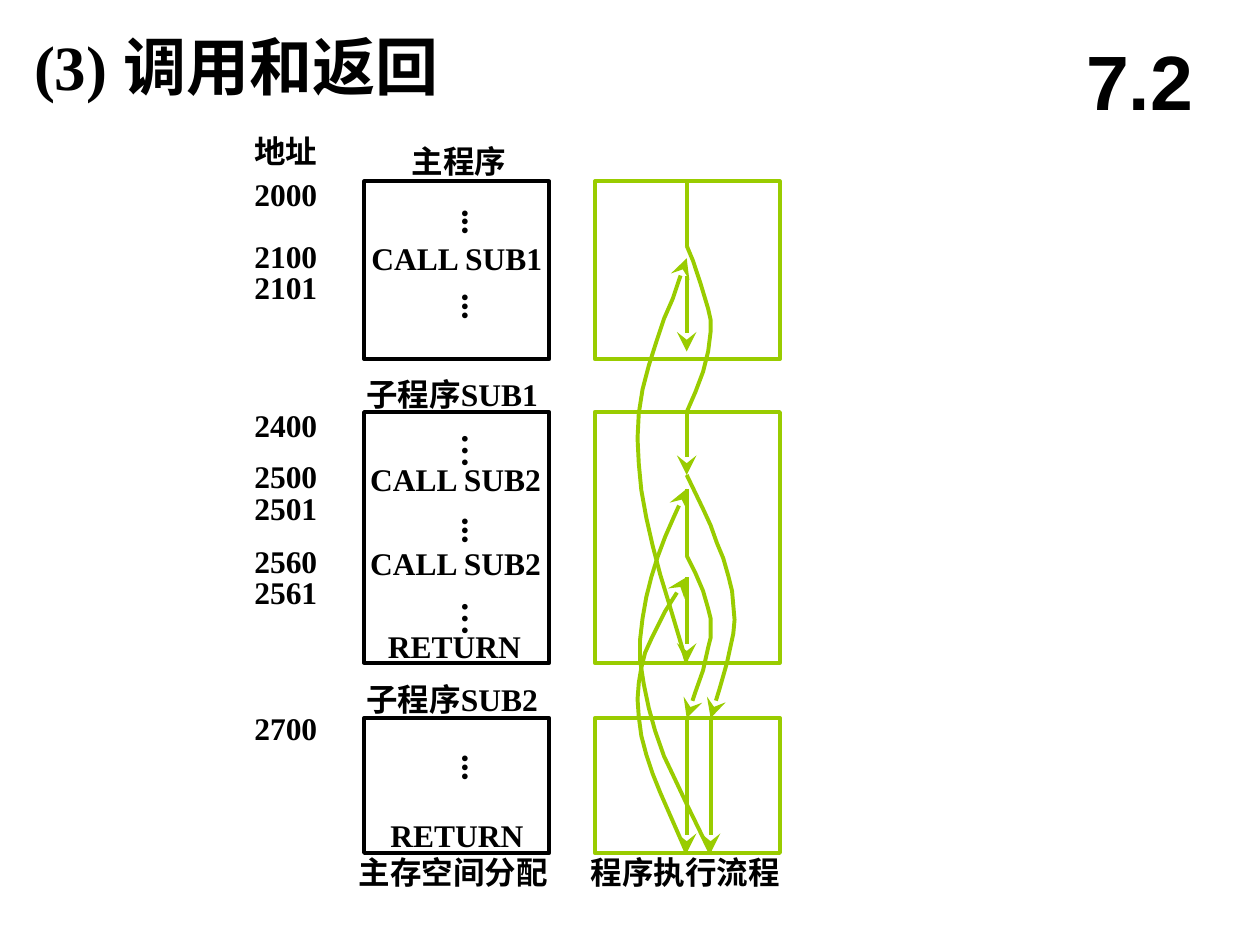
from lxml.etree import SubElement
from pptx import Presentation
from pptx.dml.color import RGBColor
from pptx.enum.shapes import MSO_CONNECTOR, MSO_SHAPE
from pptx.enum.text import MSO_ANCHOR, MSO_AUTO_SIZE, PP_ALIGN
from pptx.oxml.ns import qn
from pptx.util import Inches, Pt

BLACK, GREEN = "000000", "99CC00"
SERIF, SANS = "Times New Roman", "Arial"

# Columns: addresses, memory boxes, flow boxes, and the two flow tracks
ADDRESS_X, MEMORY_X, FLOW_X = 1.92, 2.89, 4.72
BOX_WIDTH, LABEL_HEIGHT = 1.47, 0.4
DOTS_X, DOTS_WIDTH = 3.47, 0.53
TRACK, SIDE_TRACK = 5.45, 5.64

# Rows: top and height of the main program, SUB1 and SUB2
BLOCKS = [(1.44, 1.41), (3.27, 1.99), (5.7, 1.07)]
MAIN_TOP, SUB1_TOP, SUB2_TOP = (top for top, _ in BLOCKS)
SUB1_END, SUB2_END = (top + height for top, height in BLOCKS[1:])

ADDRESSES = [
    ("地址", 1.0), ("2000", 1.34), ("2100", 1.83), ("2101", 2.08),
    ("2400", 3.17), ("2500", 3.58), ("2501", 3.83), ("2560", 4.25),
    ("2561", 4.5), ("2700", 5.58),
]
# Text, left, top, width
LABELS = [
    ("主程序", 3.17, 1.08, 0.95),
    ("CALL SUB1", 2.85, 1.85, 1.57),
    ("子程序SUB1", 2.81, 2.93, 1.62),
    ("CALL SUB2", 2.84, 3.6, 1.57),
    ("CALL SUB2", 2.84, 4.27, 1.57),
    ("RETURN", 2.98, 4.93, 1.25),
    ("子程序SUB2", 2.81, 5.35, 1.62),
    ("RETURN", 3.0, 6.43, 1.25),
    ("主存空间分配", 2.75, 6.72, 1.7),
    ("程序执行流程", 4.59, 6.72, 1.7),
]
# Text, top, height
DOTS = [
    ("...", 1.56, 0.31), ("...", 2.23, 0.31), ("…", 3.34, 0.38),
    ("...", 4.01, 0.31), ("…", 4.67, 0.38), ("...", 5.89, 0.31),
]
# Track, start, end, arrowhead
STEPS = [
    (TRACK, MAIN_TOP, 1.95, False),
    (TRACK, 2.19, 2.79, True),
    (TRACK, SUB1_TOP, 3.77, True),
    (TRACK, 3.88, 4.41, False),
    (TRACK, 4.58, SUB1_END, True),
    (TRACK, SUB2_TOP, SUB2_END, True),
    (SIDE_TRACK, SUB2_TOP, SUB2_END, True),
]
CALL_SUB1 = [
    (TRACK, 1.95), (5.5, 2.07), (5.56, 2.25), (5.62, 2.45), (5.64, 2.54),
    (5.64, 2.63), (5.62, 2.79), (5.58, 2.95), (5.52, 3.11), (TRACK, SUB1_TOP),
]
CALL_SUB2_FIRST = [
    (TRACK, 3.77), (5.58, 4.04), (5.64, 4.17), (5.69, 4.31), (5.74, 4.43),
    (5.78, 4.57), (5.81, 4.69), (5.83, 4.92), (5.82, 5.03), (5.77, 5.26),
    (5.71, 5.47), (SIDE_TRACK, SUB2_TOP),
]
CALL_SUB2_SECOND = [
    (TRACK, 4.41), (5.52, 4.55), (5.58, 4.69), (5.62, 4.83), (5.64, 4.91),
    (5.64, 5.06), (5.62, 5.14), (5.58, 5.32), (5.52, 5.49), (TRACK, SUB2_TOP),
]
RETURN_SUB2_FIRST = [
    (SIDE_TRACK, SUB2_END), (5.45, 6.38), (5.36, 6.19), (5.27, 6.0),
    (5.2, 5.8), (5.15, 5.62), (5.11, 5.43), (5.08, 5.24), (5.08, 5.08),
    (5.1, 4.91), (5.13, 4.74), (5.17, 4.58), (5.22, 4.42), (5.28, 4.26),
    (5.35, 4.1), (TRACK, 3.88),
]
RETURN_SUB2_SECOND = [
    (TRACK, SUB2_END), (5.31, 6.45), (5.24, 6.29), (5.18, 6.14), (5.13, 5.99),
    (5.09, 5.84), (5.07, 5.69), (5.06, 5.55), (5.07, 5.42), (5.09, 5.3),
    (5.12, 5.18), (5.17, 5.07), (5.28, 4.85), (TRACK, 4.58),
]
RETURN_SUB1 = [
    (TRACK, SUB1_END), (5.31, 4.79), (5.24, 4.56), (5.18, 4.33), (5.13, 4.11),
    (5.09, 3.89), (5.07, 3.68), (5.06, 3.48), (5.07, 3.28), (5.1, 3.09),
    (5.15, 2.9), (5.21, 2.71), (5.27, 2.53), (5.34, 2.37), (5.39, 2.22),
    (TRACK, 2.05),
]
RETURNING_CURVES = [RETURN_SUB2_FIRST, RETURN_SUB2_SECOND, RETURN_SUB1]


def color(value):
    return RGBColor.from_string(value)


def style_line(shape, value):
    shape.line.color.rgb = color(value)
    shape.line.width = Pt(2.25)


def add_arrowhead(shape):
    SubElement(shape.line._get_or_add_ln(), qn("a:tailEnd"),
               type="stealth", w="lg", len="lg")


def place(shape, left, top, width, height):
    shape.left, shape.top = Inches(left), Inches(top)
    shape.width, shape.height = Inches(width), Inches(height)


def write(shape, text, size, font=SERIF, align=PP_ALIGN.LEFT,
          anchor=MSO_ANCHOR.TOP, wrap=False):
    frame = shape.text_frame
    frame.text = text
    frame.word_wrap = wrap
    frame.auto_size = MSO_AUTO_SIZE.NONE
    frame.vertical_anchor = anchor
    paragraph = frame.paragraphs[0]
    paragraph.alignment = align
    run_font = paragraph.runs[0].font
    run_font.name, run_font.size, run_font.bold = font, Pt(size), True
    run_font.color.rgb = color(BLACK)


def add_label(slide, text, left, top, width, height=LABEL_HEIGHT, size=18, **style):
    box = slide.shapes.add_textbox(*map(Inches, (left, top, width, height)))
    write(box, text, size, **style)
    return box


def add_dots(slide, text, top, height):
    """Ellipsis set as vertical East Asian text."""
    box = add_label(slide, text, DOTS_X, top, DOTS_WIDTH, height, size=20)
    frame = box.text_frame
    frame.margin_left = frame.margin_right = Inches(0.05)
    frame.margin_top = frame.margin_bottom = Inches(0.1)
    frame._txBody.bodyPr.set("vert", "eaVert")


def add_block(slide, left, top, height, line):
    block = slide.shapes.add_shape(
        MSO_SHAPE.RECTANGLE, *map(Inches, (left, top, BOX_WIDTH, height)))
    block.shadow.inherit = False
    block.fill.background()
    style_line(block, line)


def add_step(slide, x, start, end, arrow):
    """Straight run of execution down one track."""
    step = slide.shapes.add_connector(
        MSO_CONNECTOR.STRAIGHT, *map(Inches, (x, start, x, end)))
    style_line(step, GREEN)
    if arrow:
        add_arrowhead(step)
    SubElement(step._element.spPr, qn("a:effectLst"))


def add_jump(slide, points, arrow=True):
    """Curved transfer of control between two blocks."""
    start, *rest = [(Inches(x), Inches(y)) for x, y in points]
    builder = slide.shapes.build_freeform(*start)
    builder.add_line_segments(rest, close=False)
    jump = builder.convert_to_shape()
    jump.shadow.inherit = False
    jump.fill.background()
    style_line(jump, GREEN)
    if arrow:
        add_arrowhead(jump)


def main():
    presentation = Presentation()
    presentation.slide_width, presentation.slide_height = Inches(10), Inches(7.5)
    slide = presentation.slides.add_slide(presentation.slide_layouts[5])

    title = slide.shapes.title
    place(title, 0.17, 0.17, 5.7, 0.7)
    write(title, "(3) 调用和返回", 36, wrap=True)
    add_label(slide, "7.2", 8.42, 0.17, 1.25, 0.92, size=44, font=SANS,
              align=PP_ALIGN.CENTER, anchor=MSO_ANCHOR.MIDDLE, wrap=True)

    for left, line in ((MEMORY_X, BLACK), (FLOW_X, GREEN)):
        for top, height in BLOCKS:
            add_block(slide, left, top, height, line)
    for text, top in ADDRESSES:
        add_label(slide, text, ADDRESS_X, top, 0.7)
    for label in LABELS:
        add_label(slide, *label)
    for dots in DOTS:
        add_dots(slide, *dots)

    for step in STEPS:
        add_step(slide, *step)
    add_jump(slide, CALL_SUB1, arrow=False)
    for points in [CALL_SUB2_FIRST, CALL_SUB2_SECOND, *RETURNING_CURVES]:
        add_jump(slide, points)

    presentation.save("out.pptx")


if __name__ == "__main__":
    main()
